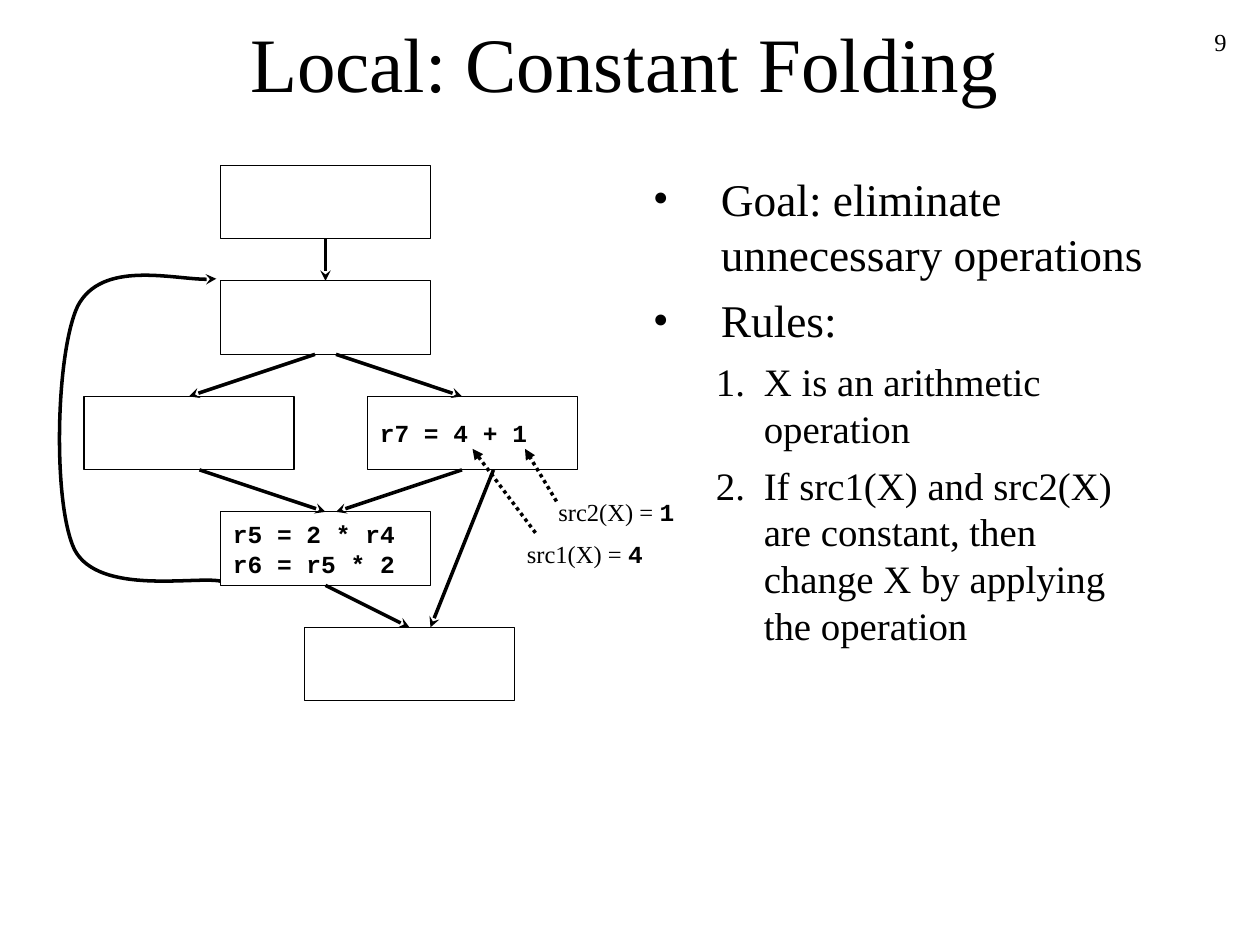
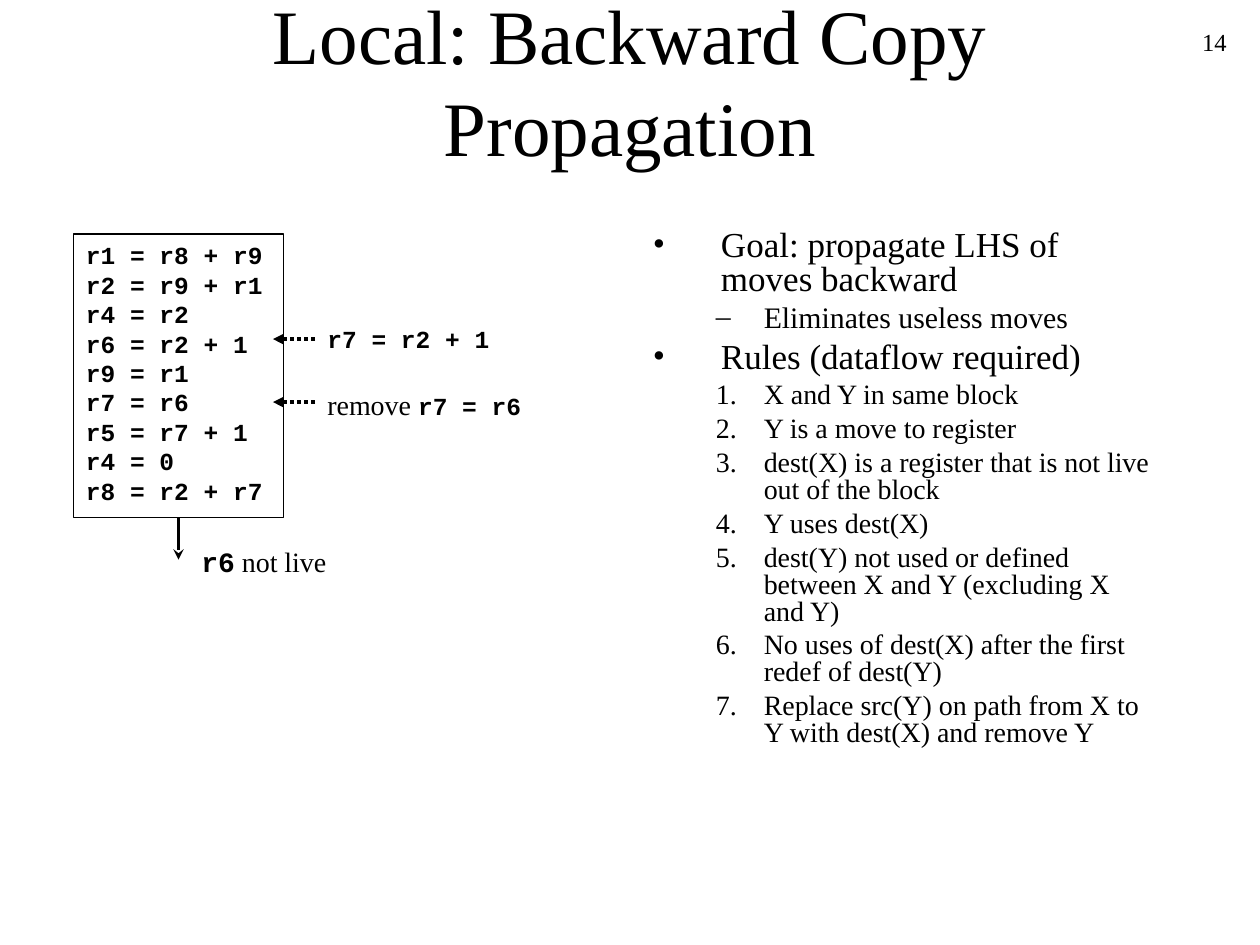
from lxml.etree import SubElement
from pptx import Presentation
from pptx.dml.color import RGBColor
from pptx.enum.dml import MSO_LINE
from pptx.enum.shapes import MSO_CONNECTOR, MSO_SHAPE
from pptx.enum.text import MSO_ANCHOR, MSO_AUTO_SIZE, PP_ALIGN
from pptx.oxml.ns import qn
from pptx.util import Inches, Pt

INK = RGBColor(0, 0, 0)
SERIF, MONO = "Times New Roman", "Courier New"
UNIT = Inches(1) / 12
COLS, ROWS = 120, 90
BLOCK_W, BLOCK_H, PITCH = 20, 7, 11
BODY_X, BODY_W, BODY_H = 61, 50, 54
INDENTS = {"•": (0.54, 0.54), "–": (0.88, 0.38), "1.": (0.88, 0.38)}

BLOCKS = [
    (13, 0, ""), (13, 1, ""), (0, 2, ""), (27, 2, "r7 = 4 + 1"),
    (13, 3, "r5 = 2 * r4\nr6 = r5 * 2"), (21, 4, ""),
]
FLOWS = [
    (23, 7, 23, 11), (22, 18, 10, 22), (24, 18, 36, 22), (11, 29, 23, 33),
    (36, 29, 24, 33), (23, 40, 31, 44), (39, 29, 33, 44),
]
LOOP = [
    (13, 39.6), (10.7, 39.1), (1.4, 41), (-0.9, 36.6), (-3, 32.2),
    (-2.7, 17.9), (-0.6, 13.4), (1.7, 9), (9.9, 11.2), (12.6, 10.8),
]
FOLDING = [
    ("•", 25.9, 7, "Goal: eliminate unnecessary operations"),
    ("•", 25.9, 7, "Rules:"),
    ("1.", 22.2, 6, "X is an arithmetic operation"),
    ("1.", 22.2, 6, "If src1(X) and src2(X) are constant, then change X "
     "by applying the operation"),
]
COPYING = [
    ("•", 20, 5, "Goal: propagate LHS of moves backward"),
    ("–", 17, 4.2, "Eliminates useless moves"),
    ("•", 20, 5, "Rules (dataflow required)"),
] + [("1.", 16, 4, rule) for rule in (
    "X and Y in same block",
    "Y is a move to register",
    "dest(X) is a register that is not live out of the block",
    "Y uses dest(X)",
    "dest(Y) not used or defined between X and Y (excluding X and Y)",
    "No uses of dest(X) after the first redef of dest(Y)",
    "Replace src(Y) on path from X to Y with dest(X) and remove Y",
)]
CODE = "\n".join([
    "r1 = r8 + r9", "r2 = r9 + r1", "r4 = r2", "r6 = r2 + 1", "r9 = r1",
    "r7 = r6", "r5 = r7 + 1", "r4 = 0", "r8 = r2 + r7",
])


def grid(*units):
    """Turn grid units into slide lengths."""
    return [round(unit * UNIT) for unit in units]


def style(run, size, face=SERIF):
    """Format a run; code is bold."""
    run.font.size, run.font.name = Pt(size), face
    run.font.bold = face == MONO
    run.font.color.rgb = INK


def write(par, text, size, face=SERIF):
    """Fill a paragraph with text of one style."""
    par.text = text
    for run in par.runs:
        style(run, size, face)


def add_text(slide, box):
    """Add a wrapping text box and return its frame."""
    frame = slide.shapes.add_textbox(*grid(*box)).text_frame
    frame.word_wrap = True
    return frame


def add_head(slide, box, title, number):
    """Add the slide title and the page number."""
    frame = add_text(slide, box)
    frame.vertical_anchor = MSO_ANCHOR.MIDDLE
    write(frame.paragraphs[0], title, 44)
    frame.paragraphs[0].alignment = PP_ALIGN.CENTER
    page = add_text(slide, (93, 2, 25, 6)).paragraphs[0]
    write(page, number, 14)
    page.alignment = PP_ALIGN.RIGHT


def add_list(slide, box, items, spacing=None):
    """Add the list of goals and numbered rules."""
    frame = add_text(slide, box)
    for index, (mark, size, gap, text) in enumerate(items):
        par = frame.add_paragraph() if index else frame.paragraphs[0]
        props = par._p.get_or_add_pPr()
        left, hang = INDENTS[mark]
        props.set("marL", str(Inches(left)))
        props.set("indent", str(-Inches(hang)))
        SubElement(props, qn("a:buFont")).set("typeface", SERIF)
        if mark == "1.":
            SubElement(props, qn("a:buAutoNum")).set("type", "arabicPeriod")
        else:
            SubElement(props, qn("a:buChar")).set("char", mark)
        par.line_spacing = spacing
        if index:
            par.space_before = Pt(gap)
        write(par, text, size)


def add_block(slide, box, code, anchor=MSO_ANCHOR.MIDDLE):
    """Add an outlined basic block with its code."""
    block = slide.shapes.add_shape(MSO_SHAPE.RECTANGLE, *grid(*box))
    block.shadow.inherit = False
    block.fill.background()
    block.line.color.rgb, block.line.width = INK, Pt(0.75)
    if code:
        frame = block.text_frame
        frame.word_wrap, frame.vertical_anchor = False, anchor
        write(frame.paragraphs[0], code, 14, MONO)
        frame.paragraphs[0].alignment = PP_ALIGN.LEFT


def ink_line(shape, head):
    """Give a line its ink, width and arrowhead."""
    shape.line.color.rgb, shape.line.width = INK, Pt(2)
    if head == "triangle":
        shape.line.dash_style = MSO_LINE.ROUND_DOT
    SubElement(shape.line._get_or_add_ln(), qn("a:tailEnd")).set("type", head)


def add_arrow(slide, origin, ends, head="stealth"):
    """Add a straight arrow relative to an origin."""
    left, top = origin
    x1, y1, x2, y2 = ends
    arrow = slide.shapes.add_connector(
        MSO_CONNECTOR.STRAIGHT,
        *grid(left + x1, top + y1, left + x2, top + y2))
    ink_line(arrow, head)
    SubElement(arrow._element.spPr, qn("a:effectLst"))


def add_loop(slide, origin, points):
    """Add a curved arrow through Bezier points."""
    left, top = origin
    spots = [grid(left + x, top + y) for x, y in points]
    maker = slide.shapes.build_freeform(*spots[0])
    maker.add_line_segments(spots[1:], close=False)
    loop = maker.convert_to_shape()
    loop.shadow.inherit = False
    loop.fill.background()
    ink_line(loop, "stealth")
    steps = list(loop._element.iter(qn("a:lnTo")))
    track = steps[0].getparent()
    for start in range(0, len(steps), 3):
        curve = SubElement(track, qn("a:cubicBezTo"))
        for step in steps[start:start + 3]:
            curve.append(step[0])
            track.remove(step)


def add_label(slide, origin, box, parts):
    """Add a note made of parts in several styles."""
    x, y, wide, high = box
    frame = add_text(slide, (origin[0] + x, origin[1] + y, wide, high))
    frame.word_wrap, frame.auto_size = False, MSO_AUTO_SIZE.SHAPE_TO_FIT_TEXT
    for text, size, face in parts:
        run = frame.paragraphs[0].add_run()
        run.text = text
        style(run, size, face)


def add_graph(slide, origin):
    """Draw the flow graph with its folding notes."""
    left, top = origin
    add_loop(slide, origin, LOOP)
    for x, row, code in BLOCKS:
        add_block(slide, (left + x, top + row * PITCH, BLOCK_W, BLOCK_H), code)
    for ends in FLOWS:
        add_arrow(slide, origin, ends)
    for name, value, x, y, ends in (
            ("src1(X) = ", "4", 41, 35, (43, 35, 37, 27)),
            ("src2(X) = ", "1", 44, 31, (45, 32, 42, 27))):
        add_arrow(slide, origin, ends, "triangle")
        add_label(slide, origin, (x, y, 13.5, 4.1),
                  [(name, 14, SERIF), (value, 14, MONO)])


def add_code(slide, origin):
    """Draw the code block with its rewrite notes."""
    add_block(slide, (*origin, BLOCK_W, 27), CODE, MSO_ANCHOR.TOP)
    add_arrow(slide, origin, (10, 27, 10, 31))
    for y in (10, 16):
        add_arrow(slide, origin, (23, y, 19, y), "triangle")
    add_label(slide, origin, (23, 8, 17.9, 4.1), [("r7 = r2 + 1", 14, MONO)])
    add_label(slide, origin, (23, 14, 20.9, 4.4),
              [("remove ", 16, SERIF), ("r7 = r6", 14, MONO)])
    add_label(slide, origin, (11, 29, 14.3, 4.4),
              [("r6", 16, MONO), (" not live", 16, SERIF)])


def main():
    """Build both slides and save them."""
    deck = Presentation()
    deck.slide_width, deck.slide_height = grid(COLS, ROWS)
    blank = deck.slide_layouts[6]
    slide = deck.slides.add_slide(blank)
    add_head(slide, (8.5, 0.4, 102, 11), "Local: Constant Folding", "9")
    add_graph(slide, (8, 15.75))
    add_list(slide, (BODY_X, 15.75, BODY_W, BODY_H), FOLDING)
    slide = deck.slides.add_slide(blank)
    add_head(slide, (9, 0.1, 102, 15), "Local: Backward Copy Propagation", "14")
    add_code(slide, (7, 22.3))
    add_list(slide, (BODY_X, 21.4, BODY_W, BODY_H), COPYING, 0.8)
    deck.save("out.pptx")


if __name__ == "__main__":
    main()
